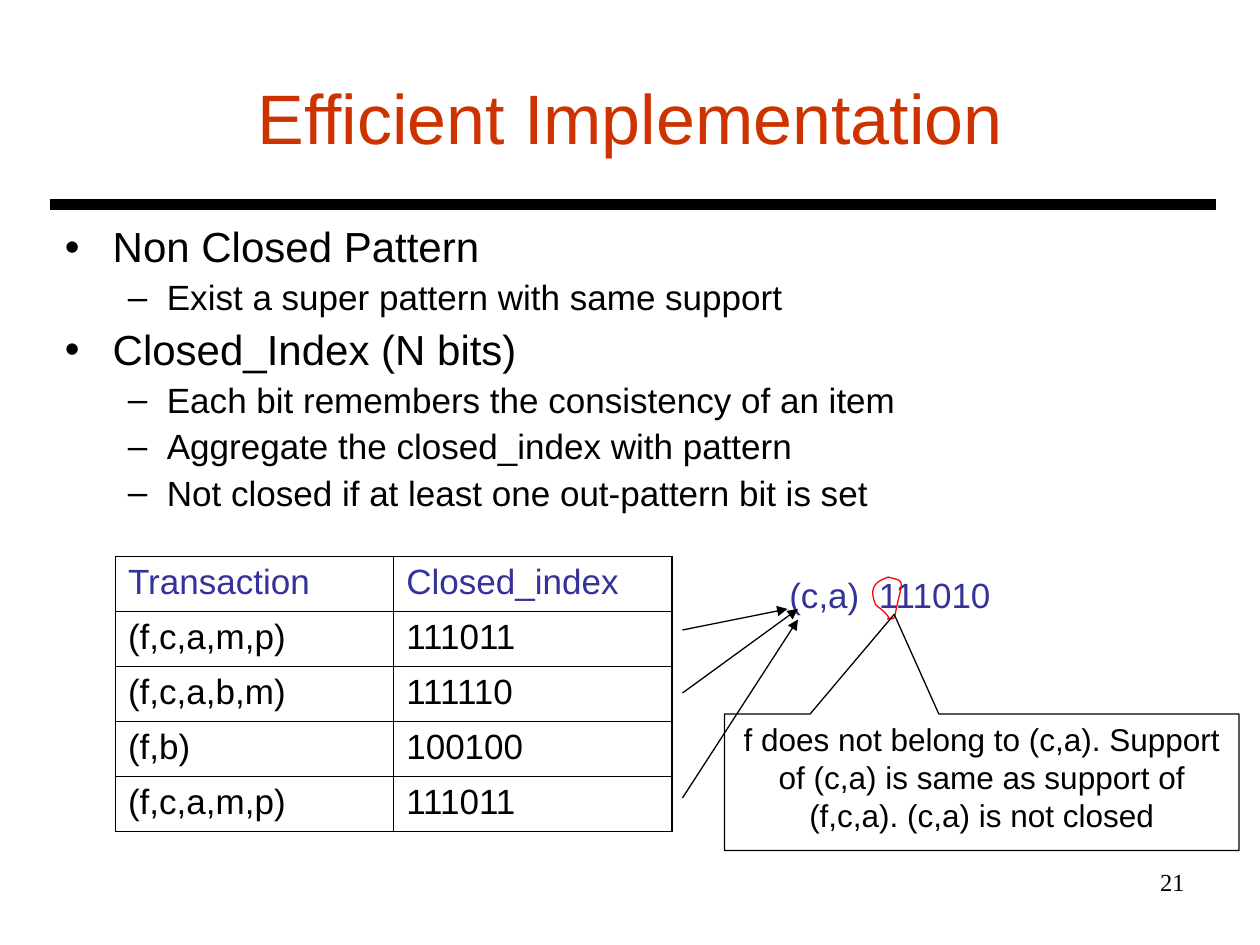
from lxml import etree
from pptx import Presentation
from pptx import util as u
from pptx.dml.color import RGBColor
from pptx.enum import shapes, text
from pptx.oxml.ns import qn

BLACK = RGBColor(0x00, 0x00, 0x00)
TITLE_RED = RGBColor(0xCC, 0x33, 0x00)
MARK_RED = RGBColor(0xFF, 0x00, 0x00)
BLUE = RGBColor(0x33, 0x33, 0x99)

COLUMNS, ROWS = 120, 90
OUTER_BORDER, INNER_BORDER = 1.08, 0.45

BULLETS = [
    (0, "Non Closed Pattern"),
    (1, "Exist a super pattern with same support"),
    (0, "Closed_Index (N bits)"),
    (1, "Each bit remembers the consistency of an item"),
    (1, "Aggregate the closed_index with pattern"),
    (1, "Not closed if at least one out-pattern bit is set"),
]
# Per level: bullet, text indent and hanging indent in inches, size, space before
LEVELS = [("•", 0.38, 0.38, 24, 6), ("–", 0.81, 0.31, 20, 5)]

TRANSACTIONS = [
    ("Transaction", "Closed_index"),
    ("(f,c,a,m,p)", "111011"),
    ("(f,c,a,b,m)", "111110"),
    ("(f,b)", "100100"),
    ("(f,c,a,m,p)", "111011"),
]
ARROWS = [(65, 60, 75, 58), (65, 66, 76, 58), (65, 76, 76, 59)]

# Bézier segments around the first bit, as (column, row) points
MARK_START = (84.72, 58.92)
MARK_CURVES = [
    [(84.36, 58.32), (84, 58.08), (83.4, 57.6)],
    [(82.8, 56.16), (83.16, 55.44), (84.6, 54.96)],
    [(86.4, 55.44), (85.92, 55.08), (85.2, 58.8)],
    [(85.08, 59.04), (84.12, 58.92), (84.72, 58.92)],
]


def bezier(points, share):
    """Point at the given share of the way along a Bézier curve."""
    while len(points) > 1:
        points = [tuple(a + (b - a) * share for a, b in zip(start, end))
                  for start, end in zip(points, points[1:])]
    return points[0]


class SlideBuilder:
    """Places elements on a grid of 120 columns by 90 rows."""

    def __init__(self, presentation, font="Arial"):
        self.slide = presentation.slides.add_slide(presentation.slide_layouts[6])
        self.column = presentation.slide_width / COLUMNS
        self.row = presentation.slide_height / ROWS
        self.font = font

    def grid(self, *lengths):
        """Turn alternating columns and rows into lengths on the slide."""
        return [u.Emu(round(length * (self.row if index % 2 else self.column)))
                for index, length in enumerate(lengths)]

    def format_runs(self, paragraph, size, color=BLACK, font=None):
        for run in paragraph.runs:
            run.font.name = font or self.font
            run.font.size = u.Pt(size)
            run.font.color.rgb = color

    def outline(self, shape, color=BLACK):
        shape.shadow.inherit = False
        shape.fill.background()
        shape.line.color.rgb = color
        shape.line.width = u.Pt(0.75)

    def text_box(self, place, content, size, color=BLACK, align=text.PP_ALIGN.LEFT,
                 anchor=text.MSO_ANCHOR.TOP, font=None):
        frame = self.slide.shapes.add_textbox(*self.grid(*place)).text_frame
        frame.word_wrap = True
        frame.vertical_anchor = anchor
        frame.text = content
        paragraph = frame.paragraphs[0]
        paragraph.alignment = align
        self.format_runs(paragraph, size, color, font)
        return paragraph

    def tab_stop(self, paragraph, inches):
        stops = etree.SubElement(paragraph._p.get_or_add_pPr(), qn("a:tabLst"))
        etree.SubElement(stops, qn("a:tab"), pos=str(u.Inches(inches)), algn="l")

    def bullet_list(self, place, items):
        frame = self.slide.shapes.add_textbox(*self.grid(*place)).text_frame
        frame.word_wrap = True
        for index, (level, content) in enumerate(items):
            bullet, indent, hanging, size, space = LEVELS[level]
            paragraph = frame.add_paragraph() if index else frame.paragraphs[0]
            paragraph.text = content
            paragraph.level = level
            properties = paragraph._p.get_or_add_pPr()
            properties.set("marL", str(u.Inches(indent)))
            properties.set("indent", str(-u.Inches(hanging)))
            etree.SubElement(properties, qn("a:buFont"), typeface=self.font)
            etree.SubElement(properties, qn("a:buChar"), char=bullet)
            paragraph.line_spacing = 0.9
            paragraph.space_before = u.Pt(space if index else 0)
            self.format_runs(paragraph, size)

    def border(self, cell, side, width):
        line = etree.SubElement(cell._tc.get_or_add_tcPr(), qn(f"a:ln{side}"),
                                w=str(u.Pt(width)))
        fill = etree.SubElement(line, qn("a:solidFill"))
        etree.SubElement(fill, qn("a:srgbClr"), val=str(BLACK))

    def table(self, place, data):
        last_row, last_column = len(data) - 1, len(data[0]) - 1
        table = self.slide.shapes.add_table(
            last_row + 1, last_column + 1, *self.grid(*place)).table
        table.first_row = table.horz_banding = False
        for row, values in enumerate(data):
            for column, value in enumerate(values):
                cell = table.cell(row, column)
                cell.text = value
                self.format_runs(cell.text_frame.paragraphs[0], 20, BLACK if row else BLUE)
                outer_sides = {"L": column == 0, "R": column == last_column,
                               "T": row == 0, "B": row == last_row}
                for side, outer in outer_sides.items():
                    self.border(cell, side, OUTER_BORDER if outer else INNER_BORDER)
                cell.fill.background()

    def line(self, ends, width=0.75, arrow=False):
        connector = self.slide.shapes.add_connector(
            shapes.MSO_CONNECTOR.STRAIGHT, *self.grid(*ends))
        connector.line.color.rgb = BLACK
        connector.line.width = u.Pt(width)
        if arrow:
            etree.SubElement(connector.line._get_or_add_ln(), qn("a:tailEnd"), type="triangle")
        etree.SubElement(connector._element.spPr, qn("a:effectLst"))

    def closed_curve(self, start, curves, color, steps=10):
        points, current = [], start
        for curve in curves:
            points += [self.grid(*bezier([current, *curve], step / steps))
                       for step in range(1, steps + 1)]
            current = curve[-1]
        builder = self.slide.shapes.build_freeform(*self.grid(*start))
        builder.add_line_segments(points, close=True)
        self.outline(builder.convert_to_shape(), color)

    def callout(self, place, content, tip):
        shape = self.slide.shapes.add_shape(
            shapes.MSO_SHAPE.RECTANGULAR_CALLOUT, *self.grid(*place))
        self.outline(shape)
        shape.adjustments[0], shape.adjustments[1] = tip
        frame = shape.text_frame
        frame.word_wrap = True
        frame.vertical_anchor = text.MSO_ANCHOR.TOP
        frame.text = content
        frame.paragraphs[0].alignment = text.PP_ALIGN.CENTER
        self.format_runs(frame.paragraphs[0], 18)


def main():
    presentation = Presentation()
    presentation.slide_width, presentation.slide_height = u.Inches(10), u.Inches(7.5)
    builder = SlideBuilder(presentation)

    builder.line((4.8, 19.5, 115.8, 19.5), width=6)
    builder.text_box((6, 3.6, 108, 15), "Efficient Implementation", 40, TITLE_RED,
                     text.PP_ALIGN.CENTER, text.MSO_ANCHOR.MIDDLE)
    builder.bullet_list((5, 21, 107, 30), BULLETS)
    builder.table((11, 53, 53, 26.2), TRANSACTIONS)
    pattern = builder.text_box((74, 54, 25, 5.25), "(c,a)\t111010", 20, BLUE)
    builder.tab_stop(pattern, 0.71)
    builder.closed_curve(MARK_START, MARK_CURVES, MARK_RED)
    builder.callout((69, 68, 49, 13),
                    "f does not belong to (c,a). Support of (c,a) is same as "
                    "support of (f,c,a). (c,a) is not closed", tip=(-0.17, -1.23))
    for ends in ARROWS:
        builder.line(ends, arrow=True)
    builder.text_box((86, 82, 28, 6.25), "21", 14, align=text.PP_ALIGN.RIGHT,
                     font="Times New Roman")

    presentation.save("out.pptx")


if __name__ == "__main__":
    main()
